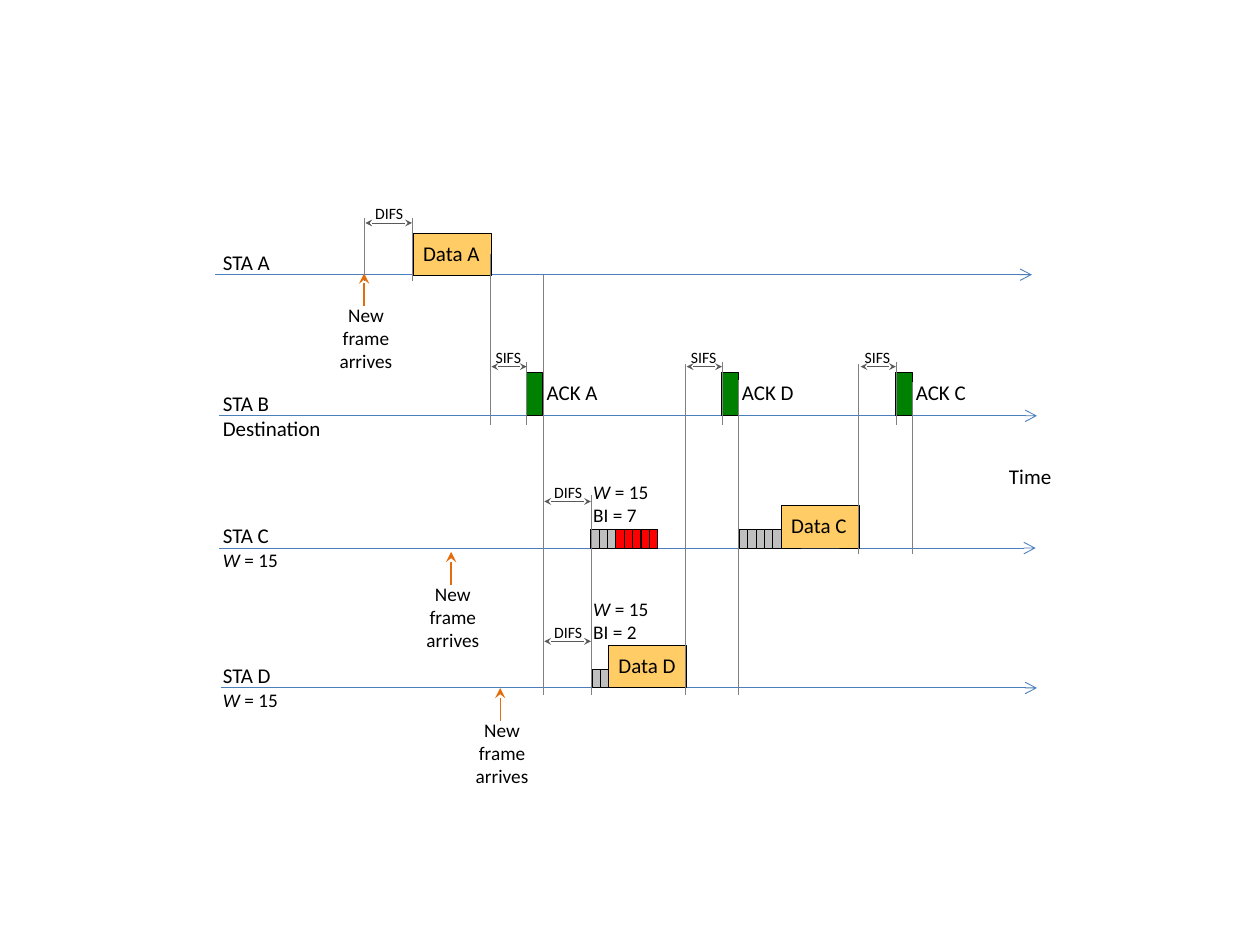
from lxml import etree
from pptx import Presentation
from pptx.dml.color import RGBColor
from pptx.enum import shapes, text
from pptx.oxml import ns
from pptx.util import Inches, Pt

COLORS = {
    "text": "000000", "outline": "000000", "axis": "4B7EBC", "guide": "808080",
    "interval": "595959", "arrival": "E46C0A", "data": "FFCC66", "ack": "008000",
    "counted": "BFBFBF", "remaining": "FF0000",
}
FONT = "Calibri"


def rgb(name):
    """Return the named colour."""
    return RGBColor.from_string(COLORS[name])


def add_label(s, box, lines, size=12, align=None):
    """Write a list of paragraphs, setting a leading W in italics."""
    tf = s.shapes.add_textbox(*map(Inches, box)).text_frame
    tf.word_wrap = False
    tf.auto_size = text.MSO_AUTO_SIZE.SHAPE_TO_FIT_TEXT
    for i, line in enumerate(lines):
        p = tf.paragraphs[0] if i == 0 else tf.add_paragraph()
        if line.startswith("W "):
            r = p.add_run()
            r.text = "W"
            r.font.italic = True
            p.add_run().text = line[1:]
        else:
            p.text = line
        p.alignment = align
        p.font.name = FONT
        p.font.size = Pt(size)
        p.font.color.rgb = rgb("text")


def add_line(s, start, end, color, width=0.25, head=None, tail=None, tip="med"):
    """Draw a straight line with optional arrowheads."""
    c = s.shapes.add_connector(
        shapes.MSO_CONNECTOR.STRAIGHT, *map(Inches, (*start, *end)))
    c.line.color.rgb = rgb(color)
    c.line.width = Pt(width)
    ln = c.line._get_or_add_ln()
    for tag, kind in (("a:headEnd", head), ("a:tailEnd", tail)):
        if kind:
            etree.SubElement(ln, ns.qn(tag), type=kind, w=tip, len=tip)
    etree.SubElement(c._element.spPr, ns.qn("a:effectLst"))


def add_guide(s, x, top, bottom):
    """Draw a vertical time guide."""
    add_line(s, (x, top), (x, bottom), "guide")


def add_block(s, box, color):
    """Draw an outlined rectangle."""
    sp = s.shapes.add_shape(shapes.MSO_SHAPE.RECTANGLE, *map(Inches, box))
    sp.shadow.inherit = False
    sp.fill.solid()
    sp.fill.fore_color.rgb = rgb(color)
    sp.line.color.rgb = rgb("outline")
    sp.line.width = Pt(0.5)


def add_station(s, box, name, note=None, size=11, note_w=0.64):
    """Draw a station's time axis along the bottom of its box."""
    x, y, w, h = box
    base = y + h
    add_line(s, (x, base), (x + w, base), "axis", 0.5, tail="arrow")
    add_label(s, (1.67, y, 0.59, 0.3), [name])
    if note:
        add_label(s, (1.67, base - 0.05, note_w, 0.3), [note], size)


def add_interval(s, x, y, width, name):
    """Draw a double arrow with its name centred above."""
    add_line(s, (x, y), (x + width, y), "interval",
             head="stealth", tail="stealth", tip="sm")
    label_w = 0.43
    add_label(s, (x + (width - label_w) / 2 + 0.01, y - 0.2, label_w, 0.25), [name], 9)


def add_data(s, x, base, name):
    """Draw a named data frame standing on an axis."""
    y = base - 0.34
    add_block(s, (x, y, 0.62, 0.34), "data")
    add_label(s, (x - 0.02, y + 0.01, 0.66, 0.3), [name])


def add_ack(s, box, name):
    """Draw an acknowledgement with the SIFS before it."""
    x, y, w, h = box
    add_block(s, box, "ack")
    add_guide(s, x, y - 0.09, y + h + 0.07)
    add_interval(s, x - 0.28, y - 0.05, 0.28, "SIFS")
    add_label(s, (x + 0.06, y, 0.62, 0.3), [name])


def add_backoff(s, box, counted, remaining=0):
    """Divide the box into equal backoff slots."""
    x, y, w, h = box
    slots = ["counted"] * counted + ["remaining"] * remaining
    slot_w = w / len(slots)
    for i, color in enumerate(slots):
        add_block(s, (x + i * slot_w, y, slot_w, h), color)


def add_arrival(s, x, y):
    """Mark the arrival of a new frame below an axis."""
    add_line(s, (x, y + 0.26), (x, y), "arrival", 0.75, tail="stealth")
    add_label(s, (x - 0.3, y + 0.19, 0.63, 0.66), ["New\nframe\narrives"], 11,
              text.PP_ALIGN.CENTER)


def main():
    """Build the channel access timing diagram."""
    prs = Presentation()
    prs.slide_width, prs.slide_height = Inches(10), Inches(7.5)
    s = prs.slides.add_slide(prs.slide_layouts[6])

    add_station(s, (1.71, 1.93, 6.48, 0.25), "STA A")
    add_station(s, (1.74, 3.05, 6.49, 0.25), "STA B", "Destination", 12, 0.99)
    add_station(s, (1.74, 4.1, 6.48, 0.25), "STA C", "W = 15")
    add_station(s, (1.75, 5.21, 6.48, 0.25), "STA D", "W = 15")
    add_label(s, (7.91, 3.63, 0.54, 0.3), ["Time"])

    for x, base, name in ((3.28, 2.19, "Data A"), (4.83, 5.46, "Data D"),
                          (6.2, 4.35, "Data C")):
        add_data(s, x, base, name)
    for x, name in ((4.18, "ACK A"), (5.73, "ACK D"), (7.11, "ACK C")):
        add_ack(s, (x, 2.96, 0.13, 0.34), name)
    for x, y in ((2.9, 1.77), (4.32, 3.98), (4.32, 5.09)):
        add_interval(s, x, y, 0.37, "DIFS")

    add_backoff(s, (4.69, 4.2, 0.53, 0.15), 3, 5)
    add_backoff(s, (4.7, 5.31, 0.13, 0.15), 2)
    add_backoff(s, (5.87, 4.2, 0.33, 0.15), 5)
    for y, index in ((3.76, 7), (4.69, 2)):
        add_label(s, (4.61, y, 0.65, 0.47), ["W = 15", f"BI = {index}"], 11)

    for x, top, bottom in ((2.89, 1.73, 2.23), (3.27, 1.73, 2.23),
                           (3.89, 2.02, 3.37), (4.31, 2.18, 5.52),
                           (4.69, 3.93, 5.52), (5.44, 2.89, 5.52),
                           (5.86, 3.02, 5.52), (6.81, 2.89, 4.4),
                           (7.24, 3.03, 4.4)):
        add_guide(s, x, top, bottom)
    for x, y in ((2.89, 2.17), (3.58, 4.38), (3.97, 5.46)):
        add_arrival(s, x, y)

    prs.save("out.pptx")


if __name__ == "__main__":
    main()
